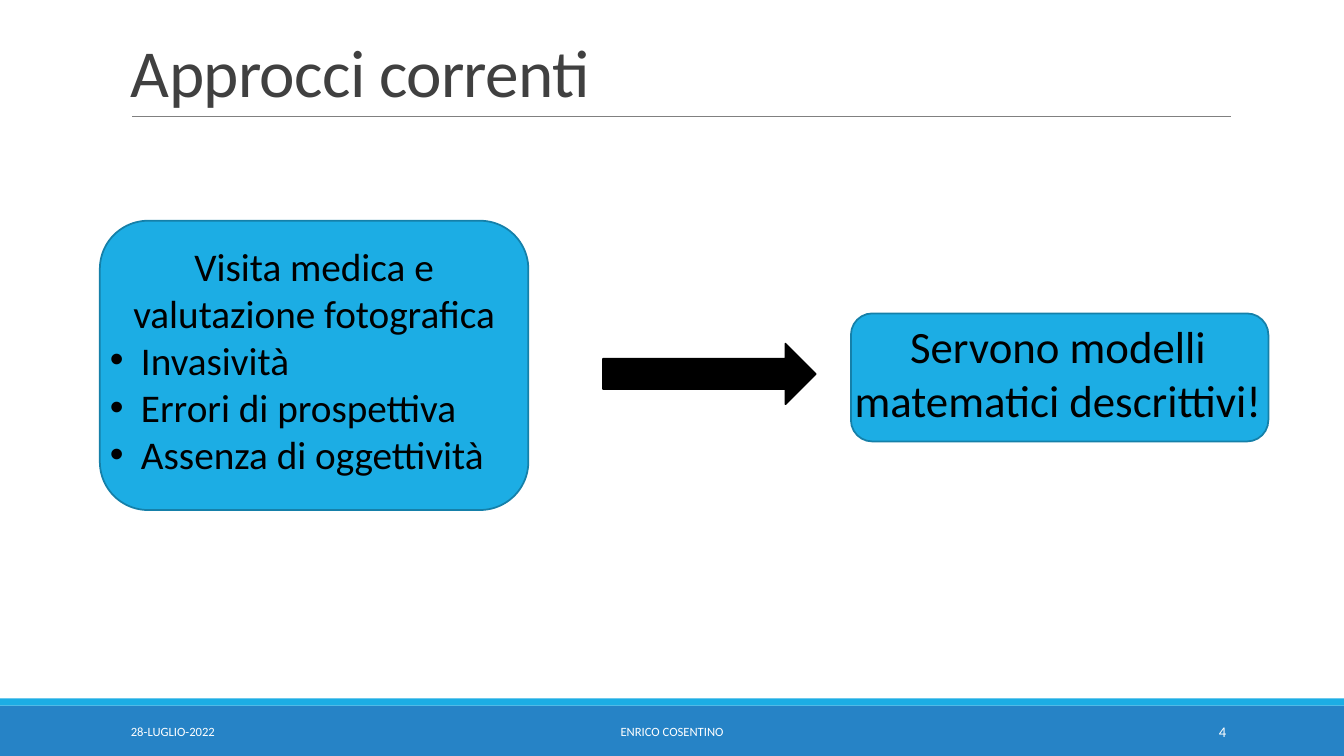
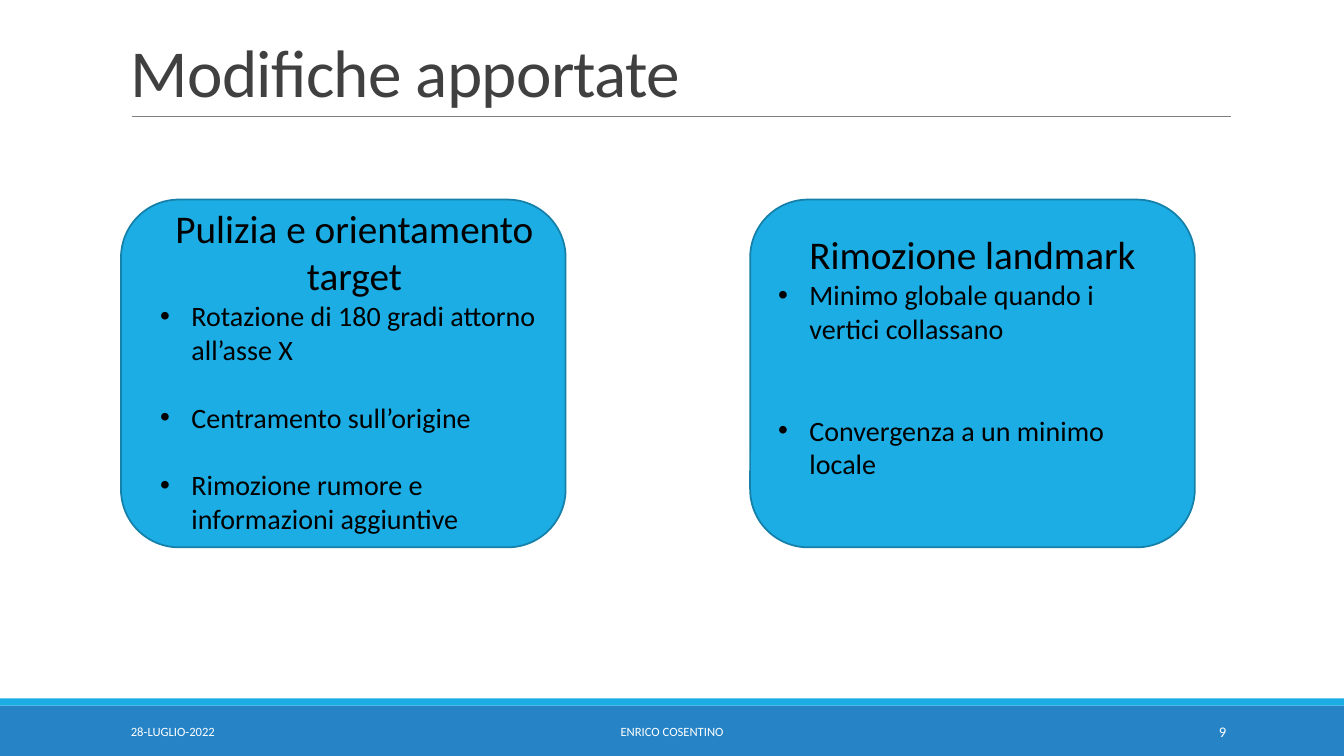
from lxml.etree import SubElement
from pptx import Presentation
from pptx.dml.color import RGBColor
from pptx.enum.shapes import MSO_CONNECTOR as Connector, MSO_SHAPE as Preset
from pptx.enum.text import MSO_ANCHOR as Anchor, PP_ALIGN as Align
from pptx.oxml.ns import qn
from pptx.util import Inches, Pt

COLORS = {
    "band": "2683C6",
    "accent": "1CADE4",
    "card_edge": "1580A9",
    "rule": "808080",
    "title": "404040",
    "ink": "000000",
    "paper": "FFFFFF",
}
FONT = "Calibri"
SLIDE_W, SLIDE_H = 13.33, 7.5
BAND_TOP, STRIPE_H = 7, 0.07
BULLET_INDENT = 0.31
BLANK_LINE = 24.4


def rgb(color):
    """Return the named colour of the palette."""
    return RGBColor.from_string(COLORS[color])


def add_block(slide, preset, box, fill, edge=None):
    """Add a flat filled shape, outlined when an edge colour is given."""
    block = slide.shapes.add_shape(preset, *map(Inches, box))
    block.shadow.inherit = False
    block.fill.solid()
    block.fill.fore_color.rgb = rgb(fill)
    if edge:
        block.line.color.rgb = rgb(edge)
        block.line.width = Pt(1.25)
    else:
        block.line.fill.background()
    return block


def add_frame(slide, box, anchor=Anchor.TOP):
    """Add a wrapping text box and return its text frame."""
    frame = slide.shapes.add_textbox(*map(Inches, box)).text_frame
    frame.word_wrap = True
    frame.vertical_anchor = anchor
    return frame


def write(paragraph, text, size, color="ink", align=Align.LEFT):
    """Fill a paragraph with text in one style."""
    paragraph.text = text
    paragraph.alignment = align
    paragraph.font.name = FONT
    paragraph.font.size = Pt(size)
    paragraph.font.color.rgb = rgb(color)


def make_bullet(paragraph):
    """Give a paragraph a round bullet with a hanging indent."""
    properties = paragraph._p.get_or_add_pPr()
    properties.set("marL", str(Inches(BULLET_INDENT)))
    properties.set("indent", str(-Inches(BULLET_INDENT)))
    SubElement(properties, qn("a:buFont")).set("typeface", "Arial")
    SubElement(properties, qn("a:buChar")).set("char", "•")


def add_title(slide, title):
    """Add the slide title and the thin rule under it."""
    rule = slide.shapes.add_connector(
        Connector.STRAIGHT, *map(Inches, (1.31, 1.15, 12.21, 1.15)))
    rule.line.color.rgb = rgb("rule")
    rule.line.width = Pt(0.5)
    SubElement(rule._element.spPr, qn("a:effectLst"))
    heading = add_frame(slide, (1.2, 0.31, 11, 0.84), Anchor.BOTTOM).paragraphs[0]
    write(heading, title, 48, "title")
    heading.line_spacing = 0.85
    heading.runs[0].font._element.set("spc", "-50")


def add_footer(slide, number):
    """Add the bottom bands with date, author and slide number."""
    add_block(slide, Preset.RECTANGLE,
              (0, BAND_TOP, SLIDE_W, SLIDE_H - BAND_TOP), "band")
    add_block(slide, Preset.RECTANGLE,
              (0, BAND_TOP - STRIPE_H, SLIDE_W, STRIPE_H), "accent")
    for text, left, width, size, align in (
        ("28-LUGLIO-2022", 1.2, 2.7, 9, Align.LEFT),
        ("ENRICO COSENTINO", 4.03, 5.27, 9, Align.CENTER),
        (str(number), 10.83, 1.43, 10.5, Align.RIGHT),
    ):
        frame = add_frame(slide, (left, BAND_TOP + 0.06, width, 0.4), Anchor.MIDDLE)
        write(frame.paragraphs[0], text, size, "paper", align)


def add_card(slide, box, text_box, heading, heading_size=28,
             bullets=(), bullet_size=28, gap=0):
    """Add a rounded card; text_box is placed from the card's corner."""
    add_block(slide, Preset.ROUNDED_RECTANGLE, box, "accent", "card_edge")
    dx, dy, width, height = text_box
    frame = add_frame(slide, (box[0] + dx, box[1] + dy, width, height))
    write(frame.paragraphs[0], heading, heading_size, align=Align.CENTER)
    for index, text in enumerate(bullets):
        bullet = frame.add_paragraph()
        write(bullet, text, bullet_size)
        bullet.space_before = Pt(gap if index else 0)
        make_bullet(bullet)


def add_base_slide(deck, title, number):
    """Add a blank slide carrying the shared title and footer."""
    slide = deck.slides.add_slide(deck.slide_layouts[6])
    add_footer(slide, number)
    add_title(slide, title)
    return slide


def build_approaches(deck):
    """Build the slide that leads from current approaches to models."""
    slide = add_base_slide(deck, "Approcci correnti", 4)
    add_card(slide, (0.99, 2.19, 4.25, 2.87), (0, 0.16, 4.25, 2.46),
             "Visita medica e valutazione fotografica",
             bullets=("Invasività", "Errori di prospettiva", "Assenza di oggettività"))
    add_block(slide, Preset.RIGHT_ARROW, (5.98, 3.41, 2.11, 0.6), "ink", "ink")
    add_card(slide, (8.44, 3.11, 4.14, 1.27), (-0.16, 0, 4.43, 1.18),
             "Servono modelli matematici descrittivi!", heading_size=32)


def build_changes(deck):
    """Build the slide with the two cards of changes."""
    slide = add_base_slide(deck, "Modifiche apportate", 9)
    top, width, height = 1.98, 4.41, 3.45
    add_card(slide, (1.2, top, width, height), (0.29, 0, 4.05, 3.7),
             "Pulizia e orientamento target",
             bullets=("Rotazione di 180 gradi attorno all’asse X",
                      "Centramento sull’origine",
                      "Rimozione rumore e informazioni aggiuntive"),
             bullet_size=20, gap=BLANK_LINE)
    add_card(slide, (7.44, top, width, height), (0.18, 0.26, 4.05, 2.93),
             "Rimozione landmark",
             bullets=("Minimo globale quando i vertici collassano",
                      "Convergenza a un minimo locale"),
             bullet_size=20, gap=2 * BLANK_LINE)


def main():
    """Build and save the presentation."""
    deck = Presentation()
    deck.slide_width, deck.slide_height = Inches(SLIDE_W), Inches(SLIDE_H)
    build_approaches(deck)
    build_changes(deck)
    deck.save("out.pptx")


if __name__ == "__main__":
    main()
